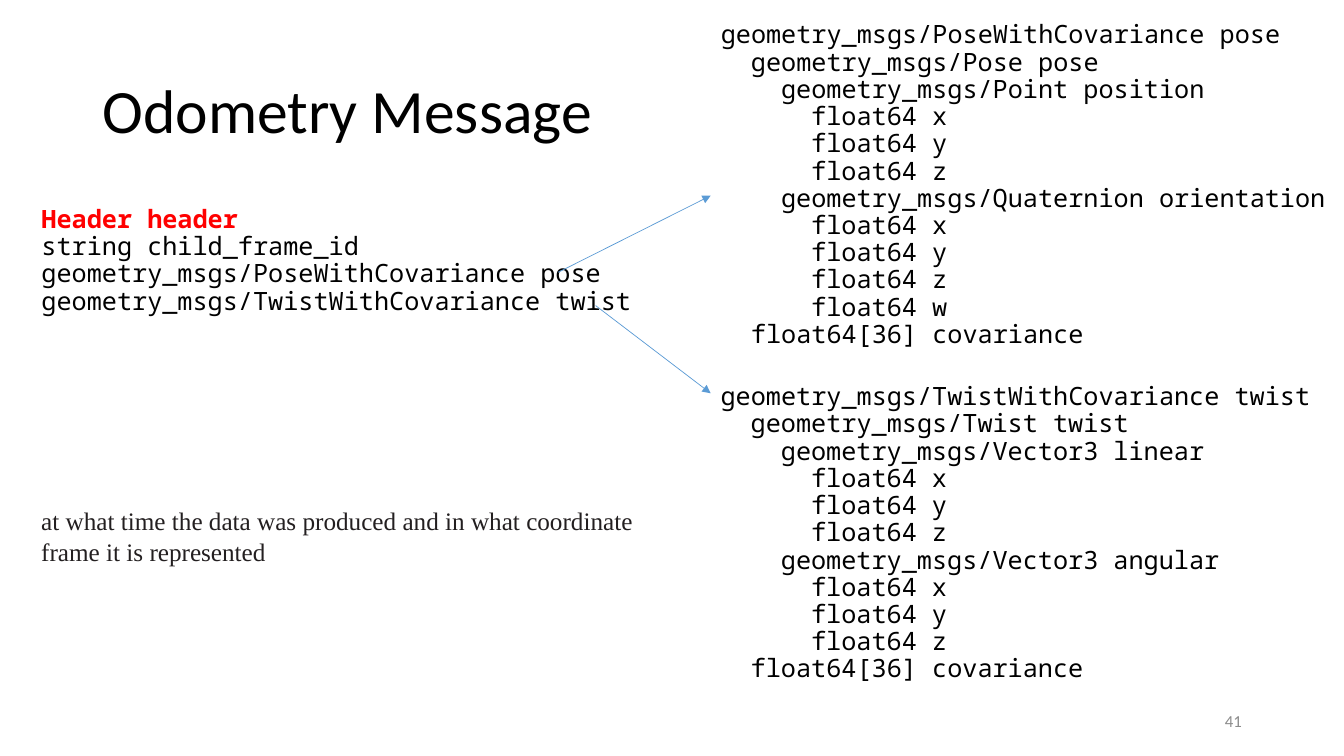
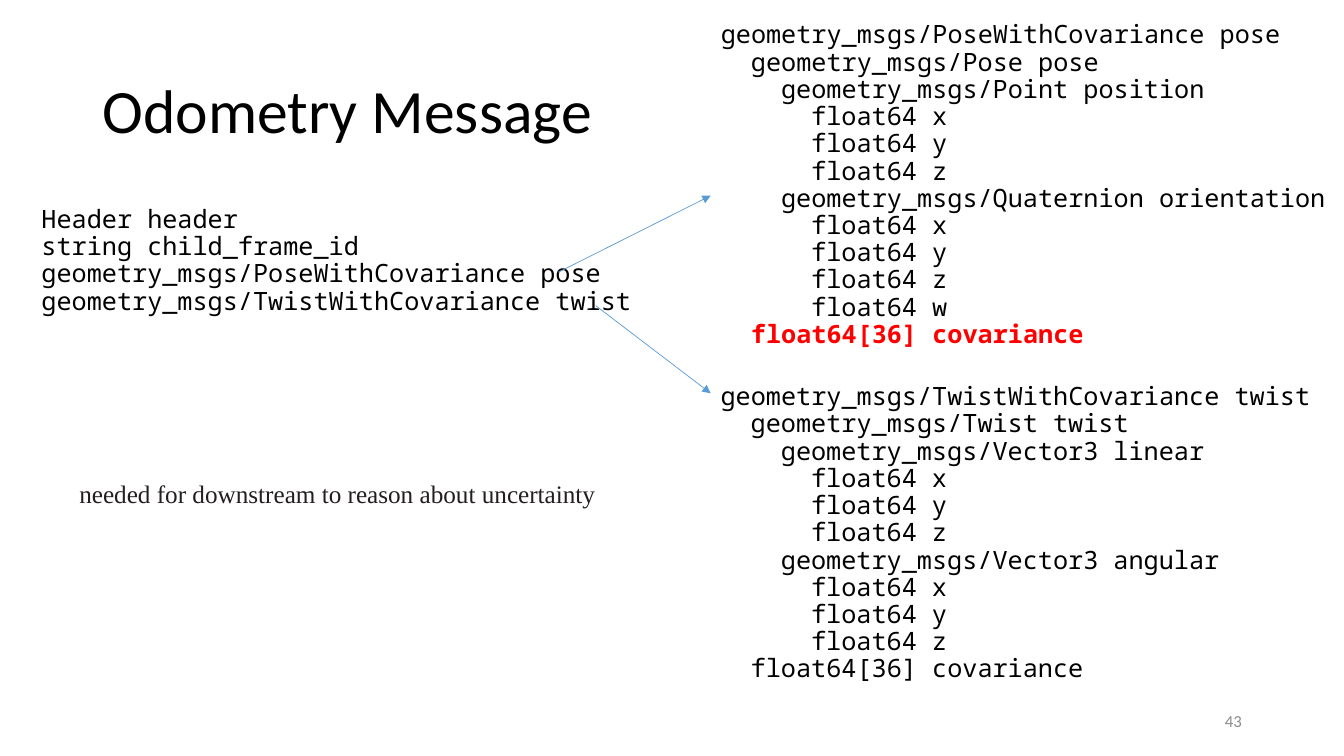
from pptx import Presentation
from pptx.dml.color import RGBColor as Rgb
from pptx.enum.shapes import MSO_CONNECTOR as Conn
from pptx.enum.text import MSO_ANCHOR as Anchor, MSO_AUTO_SIZE as Fit, PP_ALIGN as Align
from pptx.oxml.ns import qn
from pptx.util import Cm, Pt
from lxml import etree

COLORS = {"text": "000000", "hot": "FF0000", "note": "231F20",
          "page": "8C8C8C", "arrow": "5B9BD5"}
MONO = "Noto Sans Mono"
INDENT = 0.76  # width of one nesting step, in cm

# Message definitions: (depth, line)
HEADER = [(0, "Header header"), (0, "string child_frame_id"),
          (0, "geometry_msgs/PoseWithCovariance pose"),
          (0, "geometry_msgs/TwistWithCovariance twist")]


def fields(names):
    return [(3, f"float64 {name}") for name in names]


POSE = [(0, "geometry_msgs/PoseWithCovariance pose"),
        (1, "geometry_msgs/Pose pose"),
        (2, "geometry_msgs/Point position"), *fields("xyz"),
        (2, "geometry_msgs/Quaternion orientation"), *fields("xyzw"),
        (1, "float64[36] covariance")]
TWIST = [(0, "geometry_msgs/TwistWithCovariance twist"),
         (1, "geometry_msgs/Twist twist"),
         (2, "geometry_msgs/Vector3 linear"), *fields("xyz"),
         (2, "geometry_msgs/Vector3 angular"), *fields("xyz"),
         (1, "float64[36] covariance")]

# Boxes in cm: left, top, width, height
TITLE = (2.33, 1.01, 29.21, 3.68)
LEFT = (0.79, 5.08, 15.93, 3.89)
UPPER = (17.91, 0.43, 15.95, 8.89)
LOWER = (17.91, 9.55, 15.95, 8.15)
PAGE = (23.93, 17.65, 7.62, 1.02)


def place(shape, box):
    shape.left, shape.top, shape.width, shape.height = map(Cm, box)
    return shape


def add_box(slide, box):
    return slide.shapes.add_textbox(*map(Cm, box))


def write(para, text, size=18, font=MONO, color="text", bold=False,
          align=Align.LEFT, space=1.0):
    """Add one formatted run to a paragraph."""
    para.alignment, para.line_spacing = align, space
    para.space_before = para.space_after = Pt(0)
    run = para.add_run()
    run.text = text
    run.font.size, run.font.name, run.font.bold = Pt(size), font, bold
    run.font.color.rgb = Rgb.from_string(COLORS[color])


def setup(shape, anchor=Anchor.TOP):
    frame = shape.text_frame
    frame.word_wrap, frame.auto_size = True, Fit.NONE
    frame.vertical_anchor = anchor
    return frame


def code(shape, lines, hot=None):
    """Fill a shape with nested lines, marking the one equal to hot."""
    frame = setup(shape)
    for num, (depth, text) in enumerate(lines):
        para = frame.add_paragraph() if num else frame.paragraphs[0]
        on = text == hot
        write(para, text, color="hot" if on else "text", bold=on, space=0.9)
        # Plain indent without a bullet
        props = para._p.get_or_add_pPr()
        props.set("marL", str(Cm(depth * INDENT)))
        props.set("indent", "0")
        etree.SubElement(props, qn("a:buNone"))


def arrow(slide, start, end):
    line = slide.shapes.add_connector(Conn.STRAIGHT, *map(Cm, start + end))
    line.line.color.rgb = Rgb.from_string(COLORS["arrow"])
    line.line.width = Pt(0.5)
    tail = etree.SubElement(line.line._get_or_add_ln(), qn("a:tailEnd"))
    tail.set("type", "triangle")
    etree.SubElement(line._element.spPr, qn("a:effectLst"))


def message(deck, page, hot, note, box):
    """Build one slide: message, its two parts, arrows and a note."""
    slide = deck.slides.add_slide(deck.slide_layouts[3])
    title, left, right = slide.placeholders

    # Title
    frame = setup(place(title, TITLE), Anchor.MIDDLE)
    write(frame.paragraphs[0], "Odometry Message", size=44, font="Calibri", space=0.9)

    # Definitions
    code(place(left, LEFT), HEADER, hot)
    code(place(right, UPPER), POSE, hot)
    code(add_box(slide, LOWER), TWIST)

    # Arrows from the message to its parts
    arrow(slide, (14.07, 6.86), (17.91, 4.93))
    arrow(slide, (15.01, 7.7), (17.91, 9.91))

    # Note and page number
    frame = setup(add_box(slide, box))
    write(frame.paragraphs[0], note, font="Times New Roman", color="note")
    frame = setup(add_box(slide, PAGE), Anchor.MIDDLE)
    write(frame.paragraphs[0], str(page), size=12, font="Calibri",
          color="page", align=Align.RIGHT)


def main():
    deck = Presentation()
    deck.slide_width, deck.slide_height = Cm(33.87), Cm(19.05)
    message(deck, 41, "Header header",
            "at what time the data was produced and in what coordinate "
            "frame it is represented", (0.79, 12.62, 16.94, 2.57))
    message(deck, 43, "float64[36] covariance",
            "needed for downstream to reason about uncertainty",
            (1.75, 11.94, 15.67, 1.8))
    deck.save("out.pptx")


if __name__ == "__main__":
    main()
